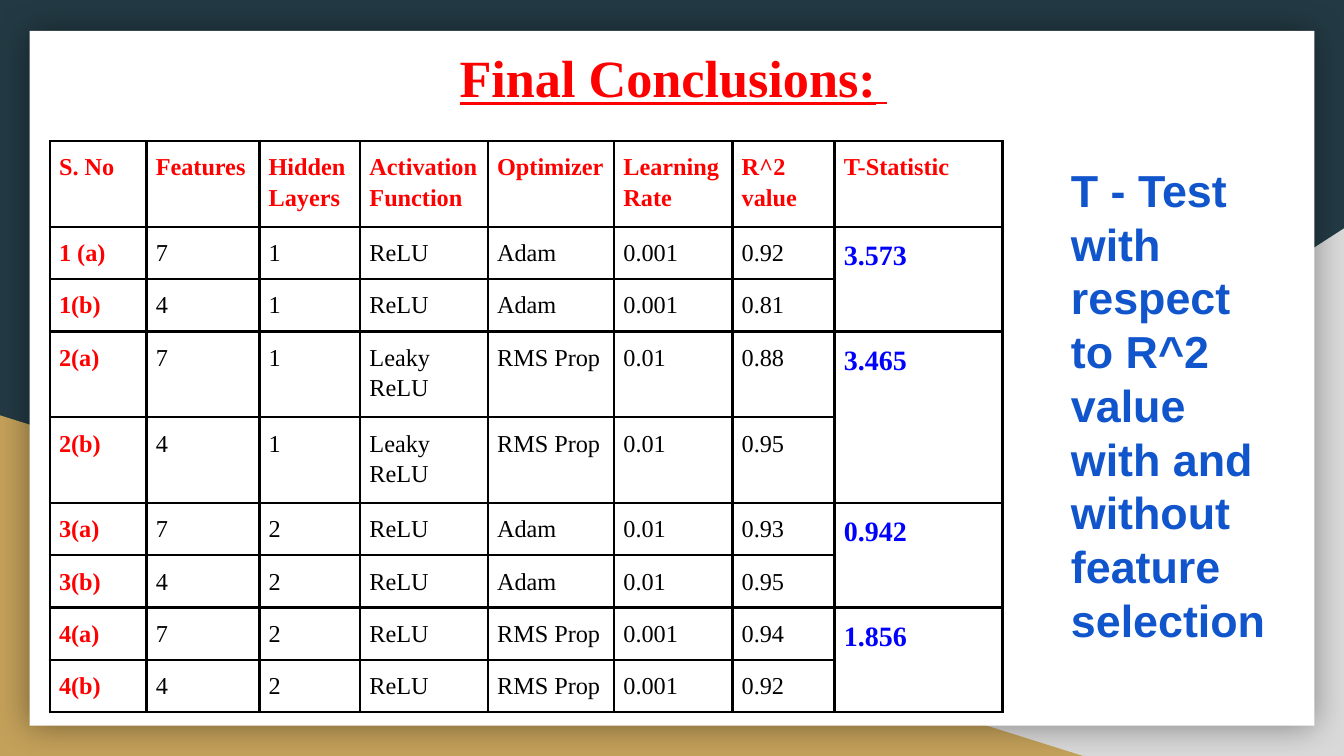
"""Build the final conclusions slide with the model comparison table."""
from lxml.etree import SubElement
from pptx import Presentation
from pptx.dml.color import RGBColor
from pptx.enum.shapes import MSO_SHAPE as Shape
from pptx.enum.text import PP_ALIGN as Align
from pptx.oxml import parse_xml
from pptx.oxml.ns import nsdecls, qn
from pptx.util import Inches, Pt

NAVY = RGBColor(0x23, 0x3A, 0x44)
GRAY = RGBColor(0xD9, 0xD9, 0xD9)
GOLD = RGBColor(0xC4, 0xA1, 0x5A)
WHITE = RGBColor(0xFF, 0xFF, 0xFF)
BLACK = RGBColor(0, 0, 0)
RED = RGBColor(0xFF, 0, 0)
BLUE = RGBColor(0, 0, 0xFF)
COBALT = RGBColor(0x11, 0x55, 0xCC)
SERIF, SANS = "Times New Roman", "Arial"
LINE_SPACING = 1.15
SLIDE_WIDTH = 10
SLIDE_HEIGHT = SLIDE_WIDTH * 9 / 16

TITLE = "Final Conclusions:"
SIDE_NOTE = "T - Test with respect to R^2 value with and without feature selection"
HEADERS = ["S. No", "Features", "Hidden Layers", "Activation Function",
           "Optimizer", "Learning Rate", "R^2 value", "T-Statistic"]
MODELS = [
    ("1 (a)", "7", "1", "ReLU", "Adam", "0.001", "0.92"),
    ("1(b)", "4", "1", "ReLU", "Adam", "0.001", "0.81"),
    ("2(a)", "7", "1", "Leaky ReLU", "RMS Prop", "0.01", "0.88"),
    ("2(b)", "4", "1", "Leaky ReLU", "RMS Prop", "0.01", "0.95"),
    ("3(a)", "7", "2", "ReLU", "Adam", "0.01", "0.93"),
    ("3(b)", "4", "2", "ReLU", "Adam", "0.01", "0.95"),
    ("4(a)", "7", "2", "ReLU", "RMS Prop", "0.001", "0.94"),
    ("4(b)", "4", "2", "ReLU", "RMS Prop", "0.001", "0.92"),
]
T_STATISTICS = ["3.573", "3.465", "0.942", "1.856"]
COLUMN_WIDTHS = [0.72, 0.84, 0.75, 0.95, 0.94, 0.88, 0.76, 1.25]
ROW_HEIGHTS = [0.47] + [0.31] * len(MODELS)


def style(run, font, size, color, bold):
    run.font.name, run.font.size, run.font.bold = font, Pt(size), bold
    run.font.color.rgb = color


def add_panel(slide, preset, box, color):
    panel = slide.shapes.add_shape(preset, *map(Inches, box))
    panel.fill.solid()
    panel.fill.fore_color.rgb = color
    panel.line.fill.background()
    panel.shadow.inherit = False
    return panel


def add_glow(panel):
    effects = panel._element.spPr.find(qn("a:effectLst"))
    shadow = SubElement(effects, qn("a:outerShdw"), blurRad=str(Pt(18)), dist="0", dir="0")
    tint = SubElement(shadow, qn("a:srgbClr"), val=str(BLACK))
    SubElement(tint, qn("a:alpha"), val="40000")


def add_words(slide, box, words):
    frame = slide.shapes.add_textbox(*map(Inches, box)).text_frame
    frame.word_wrap = True
    frame.margin_left = frame.margin_right = Inches(0.1)
    frame.margin_top = frame.margin_bottom = Inches(0.1)
    frame.text = words
    return frame.paragraphs[0]


def add_borders(cell):
    for position, side in enumerate(("lnL", "lnR", "lnT", "lnB")):
        border = parse_xml(
            f'<a:{side} {nsdecls("a")} w="{Pt(1.5)}"><a:solidFill>'
            f'<a:srgbClr val="{BLACK}"/></a:solidFill></a:{side}>')
        cell._tc.get_or_add_tcPr().insert(position, border)


def fill_cell(cell, words, size, color, bold):
    cell.text = words
    paragraph = cell.text_frame.paragraphs[0]
    paragraph.line_spacing = LINE_SPACING
    for run in paragraph.runs:
        style(run, SERIF, size, color, bold)


def add_results(slide):
    last = len(HEADERS) - 1
    table = slide.shapes.add_table(
        len(ROW_HEIGHTS), len(HEADERS), Inches(0.37), Inches(1.05),
        Inches(sum(COLUMN_WIDTHS)), Inches(sum(ROW_HEIGHTS))).table
    table.first_row = table.horz_banding = False
    for column, width in zip(table.columns, COLUMN_WIDTHS):
        column.width = Inches(width)
    for row, height in zip(table.rows, ROW_HEIGHTS):
        row.height = Inches(height)
    for cell in table.iter_cells():
        cell.margin_left = cell.margin_right = Inches(0.07)
        cell.margin_top = cell.margin_bottom = Inches(0.07)
        cell.fill.background()
        add_borders(cell)
    for r, values in enumerate([HEADERS] + MODELS):
        for c, value in enumerate(values):
            label = r == 0 or c == 0
            fill_cell(table.cell(r, c), value, 13, RED if label else BLACK, label)
    for pair, statistic in enumerate(T_STATISTICS):
        top = 1 + 2 * pair
        table.cell(top, last).merge(table.cell(top + 1, last))
        fill_cell(table.cell(top, last), statistic, 15, BLUE, True)


def main():
    deck = Presentation()
    deck.slide_width, deck.slide_height = Inches(SLIDE_WIDTH), Inches(SLIDE_HEIGHT)
    slide = deck.slides.add_slide(deck.slide_layouts[6])
    slide.background.fill.solid()
    slide.background.fill.fore_color.rgb = NAVY

    gray_corner = add_panel(
        slide, Shape.RIGHT_TRIANGLE, (3.92, 1.7, 6.08, SLIDE_HEIGHT - 1.7), GRAY)
    gray_corner._element.spPr.xfrm.set("flipH", "1")
    add_panel(slide, Shape.RIGHT_TRIANGLE, (0, 3.09, 8.06, SLIDE_HEIGHT - 3.09), GOLD)
    add_glow(add_panel(slide, Shape.RECTANGLE, (0.22, 0.23, 9.56, 5.17), WHITE))

    heading = add_words(slide, (0.28, 0.17, 9.46, 0.8), TITLE)
    heading.alignment, heading.line_spacing = Align.CENTER, LINE_SPACING
    heading.add_run().text = " "
    for run, size, bold in zip(heading.runs, (28, 24), (True, False)):
        style(run, SERIF, size, RED, bold)
        run.font.underline = True

    add_results(slide)
    note = add_words(slide, (7.87, 1.11, 1.78, 3.79), SIDE_NOTE)
    style(note.runs[0], SANS, 24, COBALT, True)
    deck.save("out.pptx")


if __name__ == "__main__":
    main()
